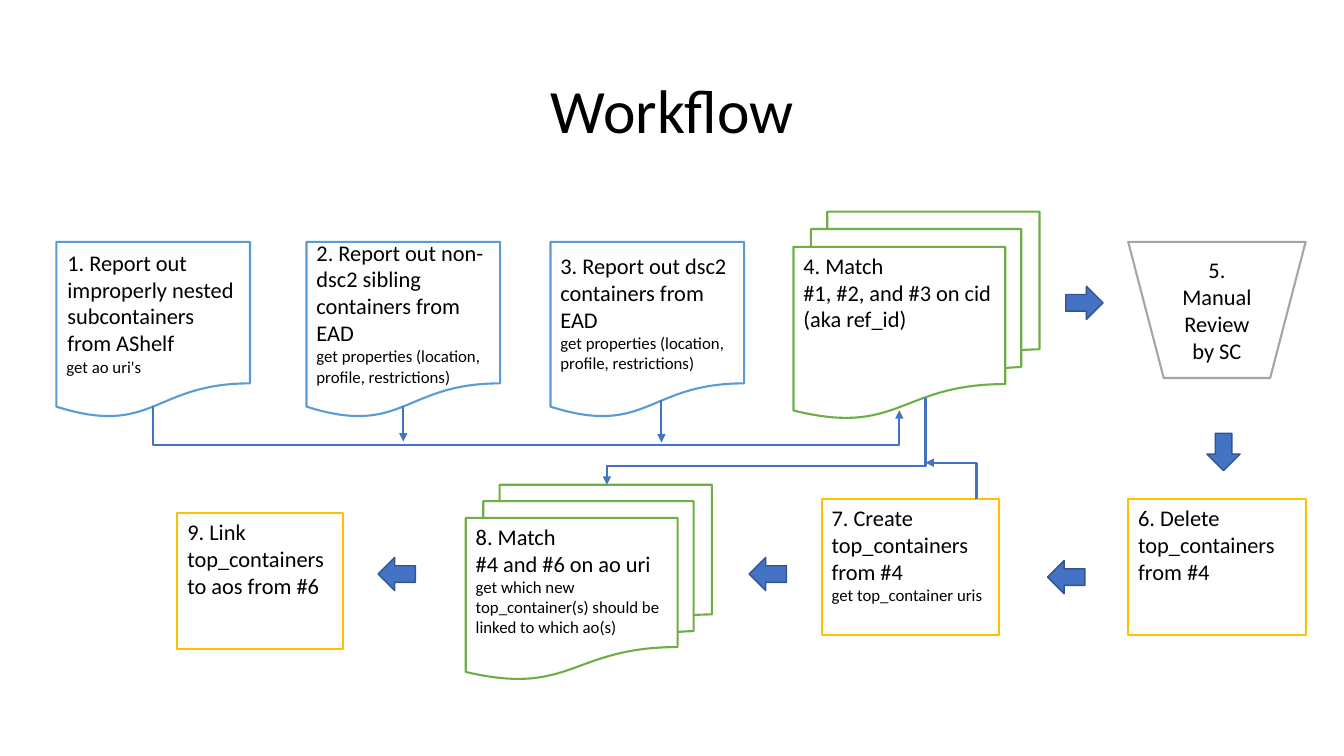
from lxml import etree
from pptx import Presentation
from pptx import util as u
from pptx.dml.color import RGBColor
from pptx.enum import shapes, text
from pptx.oxml.ns import qn

FONT = "Calibri"
BLACK, WHITE = "000000", "FFFFFF"
BLUE, GREEN, GOLD, GRAY = "5B9BD5", "70AD47", "FFC000", "A5A5A5"
ARROW, ARROW_EDGE = "4472C4", "325491"
STEP_SIZE, DETAIL_SIZE = 16, 12
KIND = shapes.MSO_SHAPE
MIDDLE, TOP = text.MSO_ANCHOR.MIDDLE, text.MSO_ANCHOR.TOP
LEFT, CENTER = text.PP_ALIGN.LEFT, text.PP_ALIGN.CENTER
PROPERTIES = "get properties (location, profile, restrictions)"


def cells(count):
    """Turn a count of grid cells, ten to the inch, into a length."""
    return u.Inches(count / 10)


def paint(target, color):
    """Give a fill or a line's fill one solid colour."""
    target.solid()
    target.fore_color.rgb = RGBColor.from_string(color)


def set_font(para, size):
    """Set the slide's font on a paragraph."""
    para.font.name, para.font.size = FONT, u.Pt(size)
    para.font.color.rgb = RGBColor.from_string(BLACK)


def add_title(page, words):
    """Place and format the title placeholder."""
    title = page.shapes.title
    title.left, title.top, title.width, title.height = map(cells, (9.2, 4, 115, 14.5))
    title.text_frame.text = words
    title.text_frame.vertical_anchor = MIDDLE
    para = title.text_frame.paragraphs[0]
    para.alignment, para.line_spacing = CENTER, 0.9
    set_font(para, 44)


def add_box(page, kind, area, fill, edge, width):
    """Add a preset shape with flat fill and outline."""
    box = page.shapes.add_shape(kind, *map(cells, area))
    box.shadow.inherit = False
    paint(box.fill, fill)
    paint(box.line.fill, edge)
    box.line.width = u.Pt(width)
    return box


def add_step(page, kind, area, edge, lines, detail="", anchor=TOP, align=LEFT):
    """Add a workflow step with its lines and a smaller detail line."""
    box = add_box(page, kind, area, WHITE, edge, 1.5)
    frame = box.text_frame
    frame.word_wrap, frame.vertical_anchor = True, anchor
    sized = [(line, STEP_SIZE) for line in lines]
    if detail:
        sized.append((detail, DETAIL_SIZE))
    for index, (words, size) in enumerate(sized):
        para = frame.add_paragraph() if index else frame.paragraphs[0]
        para.text, para.alignment = words, align
        set_font(para, size)
    return box


def number_first(box):
    """Number the first paragraph of a box automatically."""
    settings = box.text_frame.paragraphs[0]._p.get_or_add_pPr()
    settings.set("marL", str(u.Inches(0.01)))
    settings.set("indent", "0")
    font = etree.SubElement(settings, qn("a:buFont"))
    font.set("typeface", "+mj-lt")
    etree.SubElement(settings, qn("a:buAutoNum")).set("type", "arabicPeriod")


def add_arrow(page, left, top, turn=0):
    """Add a block arrow turned to its direction."""
    arrow = add_box(page, KIND.RIGHT_ARROW, (left, top, 3.7, 3.3), ARROW, ARROW_EDGE, 1)
    arrow.rotation = turn


def add_link(page, start, finish, tip="", bend=None, turn=0):
    """Add a straight link, or an elbow whose bend is a share of its width."""
    kinds = shapes.MSO_CONNECTOR
    kind = kinds.STRAIGHT if bend is None else kinds.ELBOW
    link = page.shapes.add_connector(kind, *map(cells, start + finish))
    paint(link.line.fill, ARROW)
    link.line.width = u.Pt(1.5)
    properties = link._element.spPr
    if tip:
        etree.SubElement(properties.get_or_add_ln(), qn(tip)).set("type", "triangle")
    if bend is not None:
        guides = properties.find(qn("a:prstGeom")).get_or_add_avLst()
        guide = etree.SubElement(guides, qn("a:gd"))
        guide.set("name", "adj1")
        guide.set("fmla", f"val {round(bend * 100000)}")
    if turn:
        properties.find(qn("a:xfrm")).set("rot", str(turn * 60000))
    etree.SubElement(properties, qn("a:effectLst"))


def add_reports(page):
    """Add the three report documents."""
    reports = [
        (5.6, " Report out improperly nested subcontainers from AShelf ", "get ao uri's"),
        (30.4, "2. Report out non-dsc2 sibling containers from EAD", PROPERTIES),
        (54.6, "3. Report out dsc2 containers from EAD", PROPERTIES),
    ]
    boxes = [
        add_step(page, KIND.FLOWCHART_DOCUMENT, (left, 24, 19.2, 17.5), BLUE,
                 [words], detail, MIDDLE)
        for left, words, detail in reports
    ]
    number_first(boxes[0])


def add_matches(page):
    """Add the two matching steps as stacked documents."""
    stack = KIND.FLOWCHART_MULTIDOCUMENT
    add_step(page, stack, (78.7, 21, 24.4, 20.5), GREEN,
             ["4. Match ", "#1, #2, and #3 on cid (aka ref_id)"])
    add_step(page, stack, (46.2, 48.1, 24.4, 19.3), GREEN,
             ["8. Match ", "#4 and #6 on ao uri"],
             "get which new top_container(s) should be linked to which ao(s)")


def add_actions(page):
    """Add the manual review and the container actions."""
    add_step(page, KIND.FLOWCHART_MANUAL_OPERATION, (111.9, 24, 17.6, 13.5), GRAY,
             ["5. Manual Review by SC"], anchor=MIDDLE, align=CENTER)
    actions = [
        (111.9, 49.5, 17.6, "6. Delete top_containers from #4", ""),
        (81.5, 49.5, 17.6, "7. Create top_containers from #4", "get top_container uris"),
        (17.6, 50.9, 16.4, "9. Link top_containers to aos from #6", ""),
    ]
    for left, top, width, words, detail in actions:
        add_step(page, KIND.FLOWCHART_PROCESS, (left, top, width, 13.5), GOLD,
                 [words], detail)


def add_flow(page):
    """Add the block arrows and the links between steps."""
    for arrow in [(105.7, 28.4), (119.5, 43.2, 90), (103.9, 55.6, 180),
                  (74.3, 55.3, 180), (37.5, 55.3, 180)]:
        add_arrow(page, *arrow)
    tail, head = "a:tailEnd", "a:headEnd"
    add_link(page, (52.4, 3.5), (52, 77.5), tail, bend=9.6, turn=270)
    add_link(page, (40, 40.3), (40, 43.8), tail)
    add_link(page, (65.6, 39.7), (65.6, 43.9), tail)
    add_link(page, (91.8, 39.5), (60.1, 46.2), bend=0)
    add_link(page, (91.8, 45.9), (96.7, 49.4), head, bend=1.03)
    add_link(page, (60.2, 46.2), (60.2, 48.1), tail)


def main():
    """Build and save the workflow slide."""
    deck = Presentation()
    deck.slide_width, deck.slide_height = cells(133.3), cells(75)
    page = deck.slides.add_slide(deck.slide_layouts[5])
    add_title(page, "Workflow")
    add_reports(page)
    add_matches(page)
    add_actions(page)
    add_flow(page)
    deck.save("out.pptx")


main()
